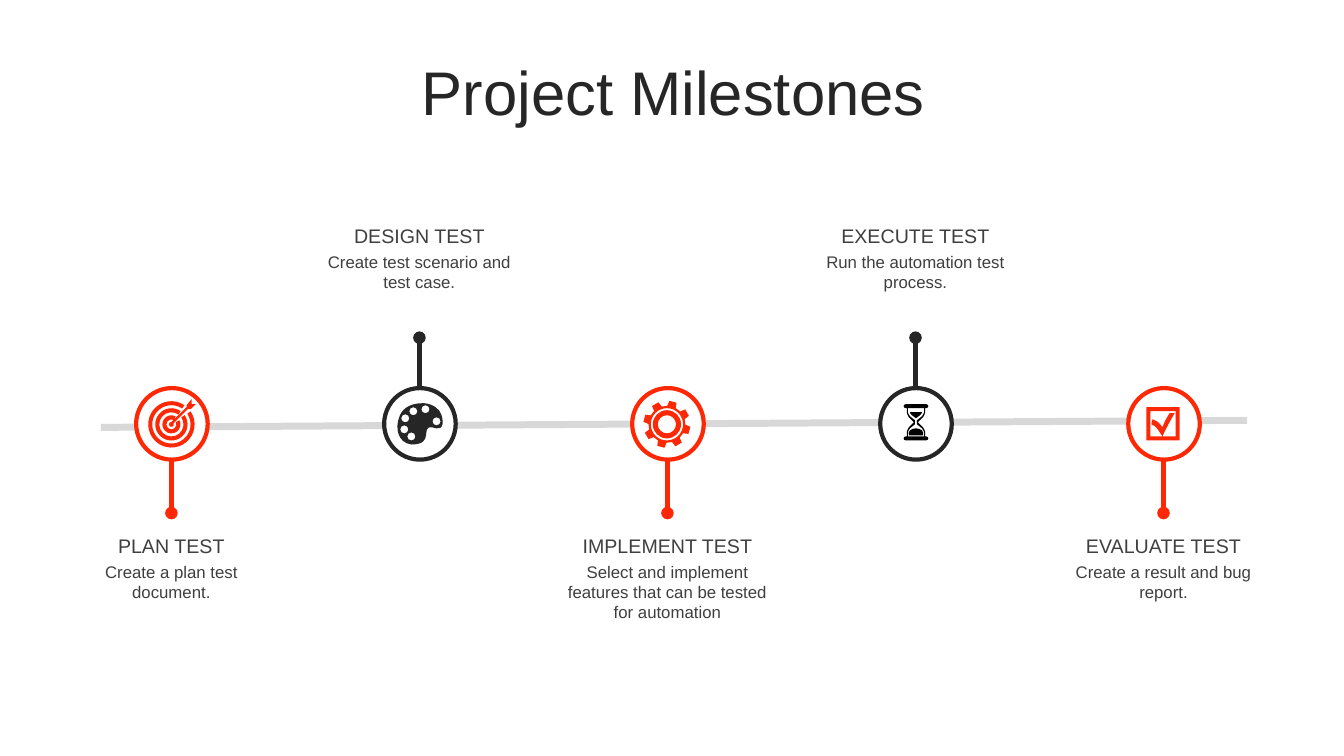
from dataclasses import dataclass
from math import ceil, cos, radians, sin, tan

from lxml import etree
from pptx import Presentation
from pptx.dml.color import RGBColor
from pptx.enum.shapes import MSO_CONNECTOR, MSO_SHAPE
from pptx.enum.text import MSO_ANCHOR as Anchor, MSO_AUTO_SIZE as AutoSize, PP_ALIGN as Align
from pptx.oxml.ns import qn
from pptx.util import Pt

Point = tuple[float, float]
Segment = tuple[float, ...]  # two numbers draw a line, six a cubic curve
Contour = list[Segment]  # the start point, then the segments

PX = 9144  # one px is a hundredth of an inch
UNITS = 100  # freeform units per px
RED, DARK, BLACK, GREY = "FD2906", "262626", "000000", "D8D8D8"
WHITE, TEXT_GREY = "FFFFFF", "3F3F3F"
FIRST_X, STEP_X, AXIS_Y = 170, 246, 421


@dataclass
class Milestone:
    heading: str
    detail: str
    color: str
    below: bool
    icon: list[Contour]
    icon_color: str


def rgb(color: str) -> RGBColor:
    return RGBColor.from_string(color)


# Outline helpers, with points in px from the centre of a circle
def points_of(contour: Contour) -> list[Point]:
    return [point for segment in contour for point in zip(segment[::2], segment[1::2])]


def arc(radius: float, start: float = 0, end: float = 360,
        x: float = 0, y: float = 0) -> Contour:
    count = ceil(abs(end - start) / 100)
    turn = radians(end - start) / count
    pull = 4 / 3 * tan(turn / 4)

    def at(angle: float, lean: float = 0) -> Point:
        return (x + radius * (cos(angle) - lean * sin(angle)),
                y + radius * (sin(angle) + lean * cos(angle)))

    angles = [radians(start) + i * turn for i in range(count + 1)]
    curves = [at(a, pull) + at(b, -pull) + at(b) for a, b in zip(angles, angles[1:])]
    return [at(angles[0]), *curves]


def reflected(contour: Contour, flip_x: int, flip_y: int) -> Contour:
    """The mirrored outline, drawn from its end to its start."""
    points = [(flip_x * x, flip_y * y) for x, y in reversed(points_of(contour))]
    result, position = [points[0]], 1
    for segment in reversed(contour[1:]):
        count = len(segment) // 2
        result.append(sum(points[position:position + count], ()))
        position += count
    return result


def shifted(contour: Contour, dx: float, dy: float) -> Contour:
    return [tuple(value + (dy if i % 2 else dx) for i, value in enumerate(segment))
            for segment in contour]


def square(low: float, high: float) -> Contour:
    return [(low, low), (high, low), (high, high), (low, high)]


def target_icon() -> list[Contour]:
    rings = [arc(outer, -45 + gap, 315 - gap) + arc(inner, 315 - gap, -45 + gap)
             for outer, inner, gap in ((23, 19, 11), (16, 12, 10), (9, 5, 18))]
    arrow = [(15, -17), (15, -19), (20, -25), (20, -20), (24, -20), (19, -15), (16, -15)]
    return rings + [arrow + arc(2.5, -25, 270)]


def palette_icon() -> list[Contour]:
    body = [(3, -21), (5, -21), (13, -20, 20, -16, 22, -9),
            (26, 6, 18, 5, 13, 3), (0, 1, 16, 20, -8, 20),
            (-22, 18, -24, 3, -20, -7), (-18, -14, -11, -21, 3, -21)]
    wells = ((-8, 12), (-15, 5), (17, -3), (-14, -6), (-6, -13), (6, -15))
    return [body] + [arc(4, x=x, y=y) for x, y in wells]


def gear_icon() -> list[Contour]:
    corners = ((18.3, -14), (23.4, -9), (23.4, 9), (18.3, 14))
    teeth = [(radius * cos(radians(middle + turn)), radius * sin(radians(middle + turn)))
             for middle in range(-75, 285, 45) for radius, turn in corners]
    return [shifted(contour, -0.5, 0) for contour in (teeth, arc(16), arc(14), arc(9))]


def hourglass_icon() -> list[Contour]:
    def mirrored(half: Contour) -> Contour:
        return shifted(half + reflected(half, -1, 1), 0.5, -2)

    def both_ends(half: Contour) -> Contour:
        return mirrored(half + reflected(half, 1, -1))

    frame = [(10, -18), (13, -18, 13, -14, 10, -14), (9, -14),
             (10, -11, 9, -8, 7, -5), (2, 0)]
    glass = [(8, -14), (9, -11, 8, -8, 6, -6), (1, -2)]
    top_sand = [(6, -10), (6, -9, 5, -8, 4, -7), (0, -4)]
    low_sand = [(0, 6), (2, 6, 5, 7, 6, 8), (8, 9, 7, 12, 7, 13)]
    return [both_ends(frame), both_ends(glass), mirrored(top_sand), mirrored(low_sand)]


def check_icon() -> list[Contour]:
    tick = [(-1, 12), (-4, 8, -7, 1, -12, 0), (-11, -5), (-5, -3, -4, -1, -1, 3),
            (1, -3, 3, -6, 6, -11), (11, -11), (7, -4, 2, 5, -1, 12)]
    return [square(-17, 16), square(-13, 12), tick]


# Drawing functions
def add_text(page, text: str, left: int, top: int, width: int, height: int, *,
             size: int, color: str, anchor=Anchor.TOP, spacing: float = 1.0,
             fit=AutoSize.SHAPE_TO_FIT_TEXT) -> None:
    box = page.shapes.add_textbox(left * PX, top * PX, width * PX, height * PX)
    frame = box.text_frame
    frame.word_wrap, frame.auto_size, frame.vertical_anchor = True, fit, anchor
    para = frame.paragraphs[0]
    para.alignment, para.line_spacing = Align.CENTER, spacing
    span = para.add_run()
    span.text = text
    span.font.name, span.font.size = "Arial", Pt(size)
    span.font.color.rgb = rgb(color)


def add_line(page, start: Point, end: Point, color: str, width: int,
             dots: bool = False) -> None:
    line = page.shapes.add_connector(MSO_CONNECTOR.STRAIGHT,
                                     *(value * PX for value in (*start, *end)))
    line.line.color.rgb, line.line.width = rgb(color), Pt(width)
    if dots:
        stroke = line.line._get_or_add_ln()
        for tag in ("a:headEnd", "a:tailEnd"):
            etree.SubElement(stroke, qn(tag), type="oval")
    etree.SubElement(line._element.spPr, qn("a:effectLst"))


def add_circle(page, x: int, color: str) -> None:
    circle = page.shapes.add_shape(MSO_SHAPE.OVAL, (x - 35) * PX, (AXIS_Y - 36) * PX,
                                   71 * PX, 71 * PX)
    circle.shadow.inherit = False
    circle.fill.solid()
    circle.fill.fore_color.rgb = rgb(WHITE)
    circle.line.color.rgb, circle.line.width = rgb(color), Pt(3)


def add_icon(page, contours: list[Contour], x: int, color: str) -> None:
    placed = [[(px * UNITS, py * UNITS) for px, py in points_of(shifted(contour, x, AXIS_Y))]
              for contour in contours]
    builder = page.shapes.build_freeform(*placed[0][0], scale=PX / UNITS)
    for index, points in enumerate(placed):
        if index:
            builder.move_to(*points[0])
        builder.add_line_segments(points[1:], close=True)
    icon = builder.convert_to_shape()

    # Join each three points of a curve into one cubic segment
    lines = iter(icon._element.findall(".//" + qn("a:lnTo")))
    for segment in (segment for contour in contours for segment in contour[1:]):
        curve = next(lines)
        if len(segment) == 6:
            curve.tag = qn("a:cubicBezTo")
            for line in (next(lines), next(lines)):
                curve.append(line[0])
                line.getparent().remove(line)
    icon.shadow.inherit = False
    icon.fill.solid()
    icon.fill.fore_color.rgb = rgb(color)
    icon.line.fill.background()


def add_milestone(page, item: Milestone, x: int) -> None:
    stem_top, heading_top, detail_top = (424, 525, 552) if item.below else (335, 217, 245)
    add_line(page, (x, stem_top + 85), (x, stem_top), item.color, 3, dots=True)
    add_circle(page, x, item.color)
    add_icon(page, item.icon, x, item.icon_color)
    add_text(page, item.heading, x - 115, heading_top, 230, 34, size=14, color=TEXT_GREY)
    add_text(page, item.detail, x - 115, detail_top, 230, 50, size=12, color=TEXT_GREY)


MILESTONES = [
    Milestone("PLAN TEST", "Create a plan test document.", RED, True, target_icon(), RED),
    Milestone("DESIGN TEST", "Create test scenario and test case.", DARK, False,
              palette_icon(), DARK),
    Milestone("IMPLEMENT TEST", "Select and implement features that can be tested for automation",
              RED, True, gear_icon(), RED),
    Milestone("EXECUTE TEST", "Run the automation test process.", DARK, False,
              hourglass_icon(), BLACK),
    Milestone("EVALUATE TEST", "Create a result and bug report.", RED, True, check_icon(), RED),
]


def main() -> None:
    deck = Presentation()
    deck.slide_width, deck.slide_height = 1333 * PX, 750 * PX
    page = deck.slides.add_slide(deck.slide_layouts[6])

    # Title and timeline
    add_text(page, "Project Milestones", 35, 55, 1266, 79, size=44, color=DARK,
             anchor=Anchor.MIDDLE, spacing=0.9, fit=AutoSize.NONE)
    add_line(page, (100, 424), (1237, 417), GREY, 5)

    # Milestones at equal steps
    for index, item in enumerate(MILESTONES):
        add_milestone(page, item, FIRST_X + index * STEP_X)
    deck.save("out.pptx")


if __name__ == "__main__":
    main()
